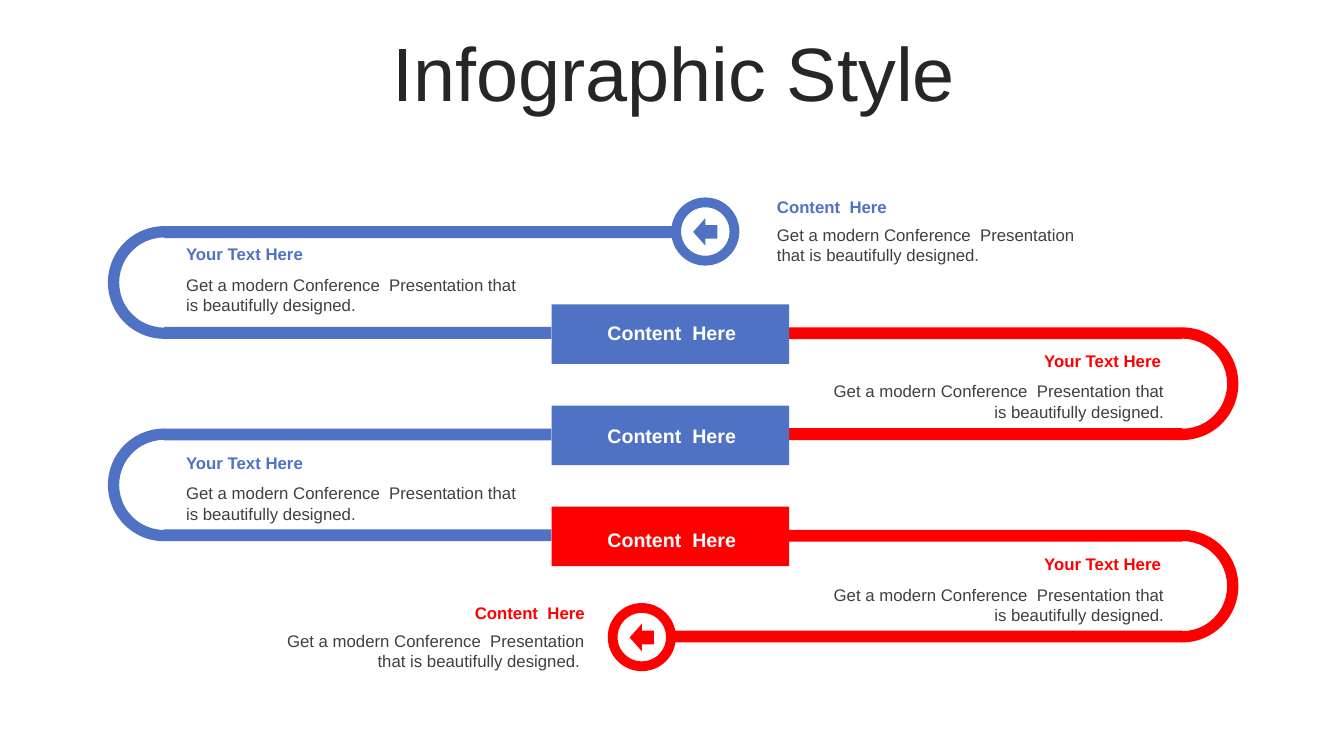
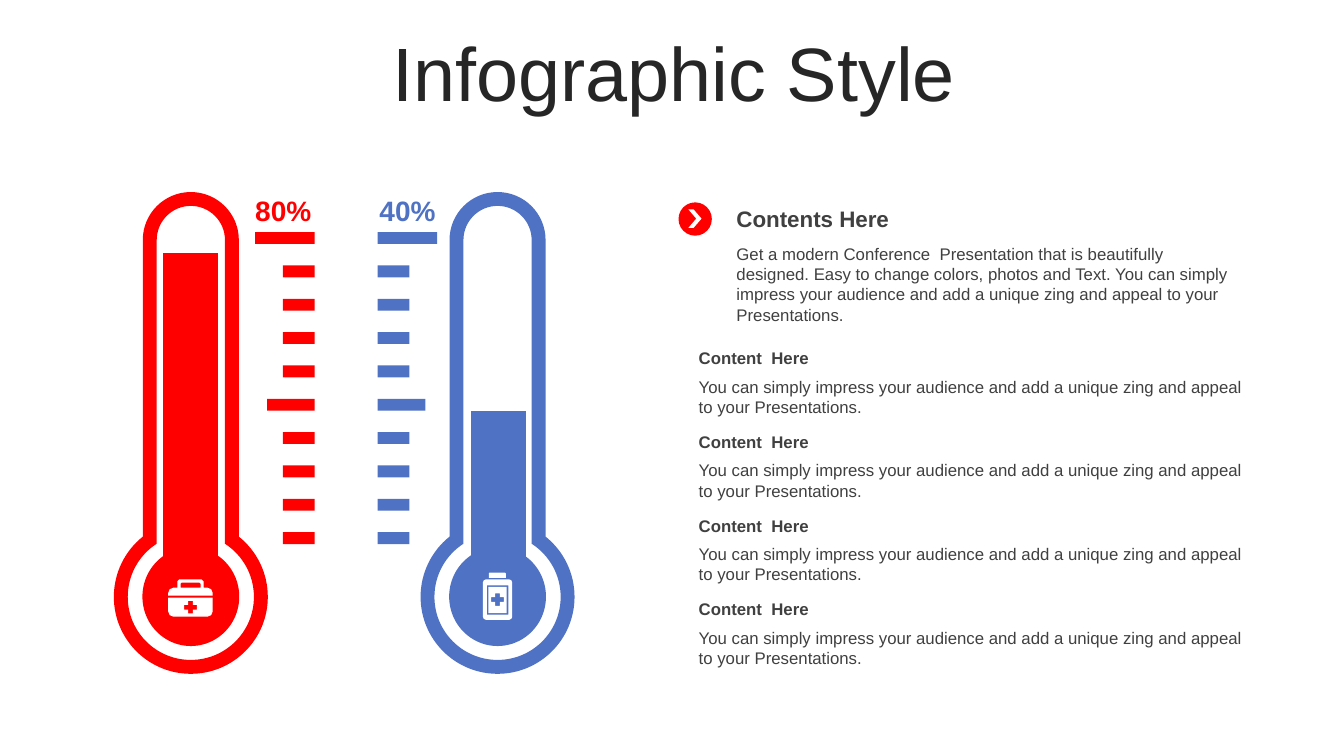
import math
from dataclasses import dataclass
from typing import NamedTuple

from lxml import etree
from pptx import Presentation
from pptx import util as u
from pptx.chart import data as chart_data
from pptx.dml import color as dml
from pptx.enum import chart as chart_types
from pptx.enum import shapes, text

FONT = "Arial"
BLUE, RED, WHITE = "5072C4", "FF0000", "FFFFFF"
TITLE_GREY, TEXT_GREY = "262626", "404040"
SHAPE = shapes.MSO_SHAPE
LEFT, CENTER, RIGHT = text.PP_ALIGN.LEFT, text.PP_ALIGN.CENTER, text.PP_ALIGN.RIGHT
TOP, MIDDLE = text.MSO_ANCHOR.TOP, text.MSO_ANCHOR.MIDDLE

MODERN = "Get a modern Conference  Presentation that is beautifully designed."
IMPRESS = ("You can simply impress your audience and add a unique zing "
           "and appeal to your Presentations.")


class Node(NamedTuple):
    """An outline point in cm; three bending nodes in a row form one curve."""
    x: float
    y: float
    bends: bool = False


@dataclass(frozen=True)
class Caption:
    """A bold heading with body text below it; lengths in cm."""
    left: float
    top: float
    width: float
    heading: str
    body: str
    accent: str = TEXT_GREY
    align: text.PP_ALIGN = LEFT
    drop: float = 0.77
    heading_trim: float = 0.08
    heading_height: float = 0.76
    body_height: float = 1.27
    size: int = 12


@dataclass(frozen=True)
class Loop:
    """A U-shaped track; inner_ends are where its two bars stop."""
    accent: str
    opens_right: bool
    inner_ends: tuple[float, float]


@dataclass(frozen=True)
class Thermometer:
    accent: str
    center: float
    label: str
    label_left: float
    scale_edge: float
    scale_grows_left: bool


def rgb(value: str) -> dml.RGBColor:
    return dml.RGBColor.from_string(value)


def paint(shape, fill: str | None, line: str | None = None, width: float = 0):
    shape.shadow.inherit = False
    if fill:
        shape.fill.solid()
        shape.fill.fore_color.rgb = rgb(fill)
    else:
        shape.fill.background()
    if line:
        shape.line.color.rgb = rgb(line)
        shape.line.width = u.Pt(width)
    else:
        shape.line.fill.background()
    return shape


def add_preset(slide, kind, left: float, top: float, width: float, height: float,
               fill: str | None, line: str | None = None, line_width: float = 0):
    shape = slide.shapes.add_shape(
        kind, u.Cm(left), u.Cm(top), u.Cm(width), u.Cm(height))
    return paint(shape, fill, line, line_width)


def add_words(slide, left: float, top: float, width: float, height: float,
              words: str, size: float, ink: str, bold: bool = False,
              align=LEFT, anchor=TOP):
    frame = slide.shapes.add_textbox(
        u.Cm(left), u.Cm(top), u.Cm(width), u.Cm(height)).text_frame
    frame.word_wrap = True
    frame.vertical_anchor = anchor
    paragraph = frame.paragraphs[0]
    paragraph.alignment = align
    run = paragraph.add_run()
    run.text = words
    run.font.name = FONT
    run.font.size = u.Pt(size)
    run.font.bold = bold
    run.font.color.rgb = rgb(ink)
    return paragraph


def add_titled_slide(deck, title: str):
    slide = deck.slides.add_slide(deck.slide_layouts[6])
    paragraph = add_words(slide, 0.9, 0.94, 32.16, 2.01, title, 54,
                          TITLE_GREY, align=CENTER, anchor=MIDDLE)
    paragraph.line_spacing = 0.9
    return slide


def add_caption(slide, item: Caption) -> None:
    add_words(slide, item.left, item.top, item.width - item.heading_trim,
              item.heading_height, item.heading, item.size, item.accent, True,
              item.align, MIDDLE)
    add_words(slide, item.left, item.top + item.drop, item.width,
              item.body_height, item.body, 12, TEXT_GREY, align=item.align)


# Outlines

def arc(cx: float, cy: float, radius: float, *degrees: float) -> list[Node]:
    """Curves through the given angles, clockwise from the right."""
    def at(angle: float, slide_along: float = 0) -> Point:
        c, s = math.cos(angle), math.sin(angle)
        return cx + radius * (c - slide_along * s), cy + radius * (s + slide_along * c)

    if not radius:
        return [Node(cx, cy)]
    angles = [math.radians(d) for d in degrees]
    nodes = [Node(*at(angles[0]))]
    for start, end in zip(angles, angles[1:]):
        reach = 4 / 3 * math.tan((end - start) / 4)
        for x, y in (at(start, reach), at(end, -reach), at(end)):
            nodes.append(Node(x, y, True))
    return nodes


Point = tuple[float, float]


def rounded(left: float, top: float, width: float, height: float,
            top_radius: float = 0, bottom_radius: float = 0) -> list[Node]:
    right, bottom, t, b = left + width, top + height, top_radius, bottom_radius
    return (arc(left + t, top + t, t, 180, 270)
            + arc(right - t, top + t, t, 270, 360)
            + arc(right - b, bottom - b, b, 0, 90)
            + arc(left + b, bottom - b, b, 90, 180))


def cross(cx: float, cy: float, arm: float = 0.16, half: float = 0.06) -> list[Node]:
    corners = [(-half, -arm), (half, -arm), (half, -half), (arm, -half),
               (arm, half), (half, half), (half, arm), (-half, arm),
               (-half, half), (-arm, half), (-arm, -half), (-half, -half)]
    return [Node(cx + x, cy + y) for x, y in corners]


def bend_segments(shape, flags: list[bool]) -> None:
    """Merge each three flagged straight segments into one Bézier curve."""
    namespace = "{%s}" % shape._element.nsmap["a"]
    segments = list(shape._element.iter(namespace + "lnTo"))
    bending = [segment for segment, bends in zip(segments, flags) if bends]
    for first in range(0, len(bending), 3):
        curve = etree.Element(namespace + "cubicBezTo")
        bending[first].addprevious(curve)
        for segment in bending[first:first + 3]:
            curve.append(segment[0])
            segment.getparent().remove(segment)


def add_outline(slide, contours: list[list[Node]], fill: str) -> None:
    """Draw contours as one shape, where inner contours become holes."""
    paths = [[(u.Cm(n.x), u.Cm(n.y)) for n in contour] for contour in contours]
    builder = slide.shapes.build_freeform(*paths[0][0])
    builder.add_line_segments(paths[0][1:], close=True)
    for points in paths[1:]:
        builder.move_to(*points[0])
        builder.add_line_segments(points[1:], close=True)
    shape = paint(builder.convert_to_shape(), fill)
    bend_segments(shape, [n.bends for contour in contours for n in contour[1:]])


# Slide with the winding track

ARC_SIZE, TRACK = 2.84, 0.3
BOX_LEFT, BOX_WIDTH = 13.9, 5.99
BOX_RIGHT = BOX_LEFT + BOX_WIDTH

LOOPS = [
    Loop(BLUE, True, (17.0, BOX_LEFT)),
    Loop(RED, False, (BOX_RIGHT, BOX_RIGHT)),
    Loop(BLUE, True, (BOX_LEFT, BOX_LEFT)),
    Loop(RED, False, (BOX_RIGHT, 16.87)),
]
TRACK_CAPTIONS = [
    Caption(4.44, 6.02, 9.02, "Your Text Here", MODERN, BLUE),
    Caption(20.47, 8.71, 9.12, "Your Text Here", MODERN, RED, RIGHT),
    Caption(4.44, 11.28, 9.12, "Your Text Here", MODERN, BLUE),
    Caption(20.47, 13.83, 9.12, "Your Text Here", MODERN, RED, RIGHT),
    Caption(6.81, 15.06, 8.18, "Content  Here", MODERN + " ", RED, RIGHT, 0.71, 0),
    Caption(19.33, 4.83, 8.2, "Content  Here", MODERN, BLUE, LEFT, 0.71, 0),
]


def add_loop(slide, loop: Loop, top: float) -> None:
    left = 2.72 if loop.opens_right else 28.37
    bend = add_preset(slide, SHAPE.BLOCK_ARC, left, top, ARC_SIZE, ARC_SIZE, loop.accent)
    angles = (53.49, 162.34) if loop.opens_right else (161.66, 54.51)
    for index, value in enumerate((*angles, 0.1)):
        bend.adjustments[index] = value
    middle = left + ARC_SIZE / 2
    for bar_top, end in zip((top, top + ARC_SIZE - TRACK), loop.inner_ends):
        add_preset(slide, SHAPE.RECTANGLE, min(middle, end), bar_top,
                   abs(end - middle), TRACK, loop.accent)


def add_stop(slide, left: float, top: float, accent: str) -> None:
    """A ring holding a left arrow."""
    add_preset(slide, SHAPE.OVAL, left, top, 1.47, 1.47, None, accent, 7)
    add_preset(slide, SHAPE.LEFT_ARROW, left + 0.43, top + 0.4, 0.61, 0.69, accent)


def build_track(deck) -> None:
    slide = add_titled_slide(deck, "Infographic Style")
    for row, loop in enumerate(LOOPS):
        add_loop(slide, loop, 5.7 + 2.55 * row)
    for row, accent in enumerate((BLUE, BLUE, RED)):
        add_preset(slide, SHAPE.RECTANGLE, BOX_LEFT, 7.67 + 2.55 * row,
                   BOX_WIDTH, 1.5, accent)
        add_words(slide, 14.53, 7.95 + 2.61 * row, 4.8, 0.86, "Content  Here",
                  14, WHITE, True, CENTER, MIDDLE)
    add_stop(slide, 17.04, 5.1, BLUE)
    add_stop(slide, 15.44, 15.32, RED)
    for item in TRACK_CAPTIONS:
        add_caption(slide, item)


# Slide with the thermometers

BULB_Y, CAP_Y = 15.04, 6.05
TICK_WIDTHS = [1.5] + [0.8] * 4 + [1.2] + [0.8] * 4

THERMOMETERS = [
    Thermometer(RED, 4.81, "80%", 5.84, 7.93, True),
    Thermometer(BLUE, 12.54, "40%", 8.97, 9.52, False),
]
INTRO = Caption(
    18.31, 5.03, 13.06, "Contents Here",
    MODERN + " Easy to change colors, photos and Text. " + IMPRESS,
    drop=0.99, heading_trim=0, heading_height=0.94, body_height=2.31, size=16)


def glass(center: float, half_width: float, radius: float) -> list[Node]:
    """Outline of a round-capped stem joined to a bulb."""
    join = math.degrees(math.acos(half_width / radius))
    return (arc(center, CAP_Y, half_width, 180, 270, 360)
            + arc(center, BULB_Y, radius, -join, 0, 90, 180, 180 + join))


def add_thermometer(slide, item: Thermometer) -> None:
    add_outline(slide, [glass(item.center, 1.21, 1.94),
                        glass(item.center, 0.86, 1.59)], item.accent)
    add_preset(slide, SHAPE.OVAL, item.center - 1.22, BULB_Y - 1.25, 2.44, 2.49,
               item.accent)
    add_words(slide, item.label_left, 4.75, 2.6, 1.12, item.label, 20,
              item.accent, True, CENTER)
    for row, width in enumerate(TICK_WIDTHS):
        left = item.scale_edge - (width if item.scale_grows_left else 0)
        add_preset(slide, SHAPE.RECTANGLE, left, 5.85 + 0.84 * row, width, 0.3,
                   item.accent)


def fix_plot_area(chart, **fractions: float) -> None:
    """Pin the inner plot area to fractions of the chart frame."""
    plot_area = chart._chartSpace.chart.plotArea
    namespace = "{%s}" % plot_area.nsmap["c"]
    for old in plot_area.findall(namespace + "layout"):
        plot_area.remove(old)
    layout = etree.Element(namespace + "layout")
    plot_area.insert(0, layout)
    manual = etree.SubElement(layout, namespace + "manualLayout")
    settings = {"layoutTarget": "inner", "xMode": "edge", "yMode": "edge", **fractions}
    for tag, value in settings.items():
        etree.SubElement(manual, namespace + tag).set("val", str(value))


def add_levels(slide) -> None:
    levels = chart_data.CategoryChartData()
    levels.categories = ["1", "2"]
    levels.add_series("Series 1", (100, 50))
    chart = slide.shapes.add_chart(
        chart_types.XL_CHART_TYPE.COLUMN_CLUSTERED,
        u.Cm(0.58), u.Cm(5.16), u.Cm(16.21), u.Cm(9.37), levels).chart
    chart.has_legend = chart.has_title = False
    chart.font.name = FONT
    chart.font.size = u.Pt(18)
    chart.font.color.rgb = rgb("000000")
    chart.value_axis.minimum_scale, chart.value_axis.maximum_scale = 0, 100
    chart.value_axis.has_major_gridlines = False
    chart.category_axis.visible = chart.value_axis.visible = False
    plot = chart.plots[0]
    plot.gap_width = 460
    plot.vary_by_categories = False
    for index, item in enumerate(THERMOMETERS):
        fill = plot.series[0].points[index].format.fill
        fill.solid()
        fill.fore_color.rgb = rgb(item.accent)
    fix_plot_area(chart, x=0.02, y=0.13, w=0.96, h=0.85)


def build_thermometers(deck) -> None:
    slide = add_titled_slide(deck, "Infographic Style")
    add_levels(slide)
    for item in THERMOMETERS:
        add_thermometer(slide, item)
    for row in range(4):
        add_caption(slide, Caption(17.36, 8.64 + 2.11 * row, 14.43, "Content  Here",
                                   IMPRESS, drop=0.72, heading_trim=0))
    add_preset(slide, SHAPE.OVAL, 17.1, 5.1, 0.84, 0.84, RED)
    chevron = add_preset(slide, SHAPE.CHEVRON, 17.35, 5.28, 0.33, 0.46, WHITE)
    chevron.adjustments[0] = 0.6
    add_caption(slide, INTRO)
    first_aid_kit = [
        cross(4.8, 15.3),
        rounded(4.24, 15.06, 1.12, 0.48, bottom_radius=0.13),
        rounded(4.55, 14.68, 0.51, 0.13, top_radius=0.03),
        rounded(4.47, 14.6, 0.66, 0.21, top_radius=0.05),
        rounded(4.24, 14.81, 1.12, 0.2, top_radius=0.13),
    ]
    medicine_bottle = [
        cross(12.54, 15.11),
        rounded(12.31, 14.79, 0.46, 0.66),
        rounded(12.27, 14.75, 0.54, 0.74),
        rounded(12.17, 14.6, 0.74, 1.02, 0.08, 0.08),
        rounded(12.32, 14.43, 0.43, 0.13, 0.02),
    ]
    for icon in (first_aid_kit, medicine_bottle):
        add_outline(slide, icon, WHITE)


def main() -> None:
    deck = Presentation()
    deck.slide_width, deck.slide_height = u.Cm(33.87), u.Cm(19.05)
    build_track(deck)
    build_thermometers(deck)
    deck.save("out.pptx")


if __name__ == "__main__":
    main()
